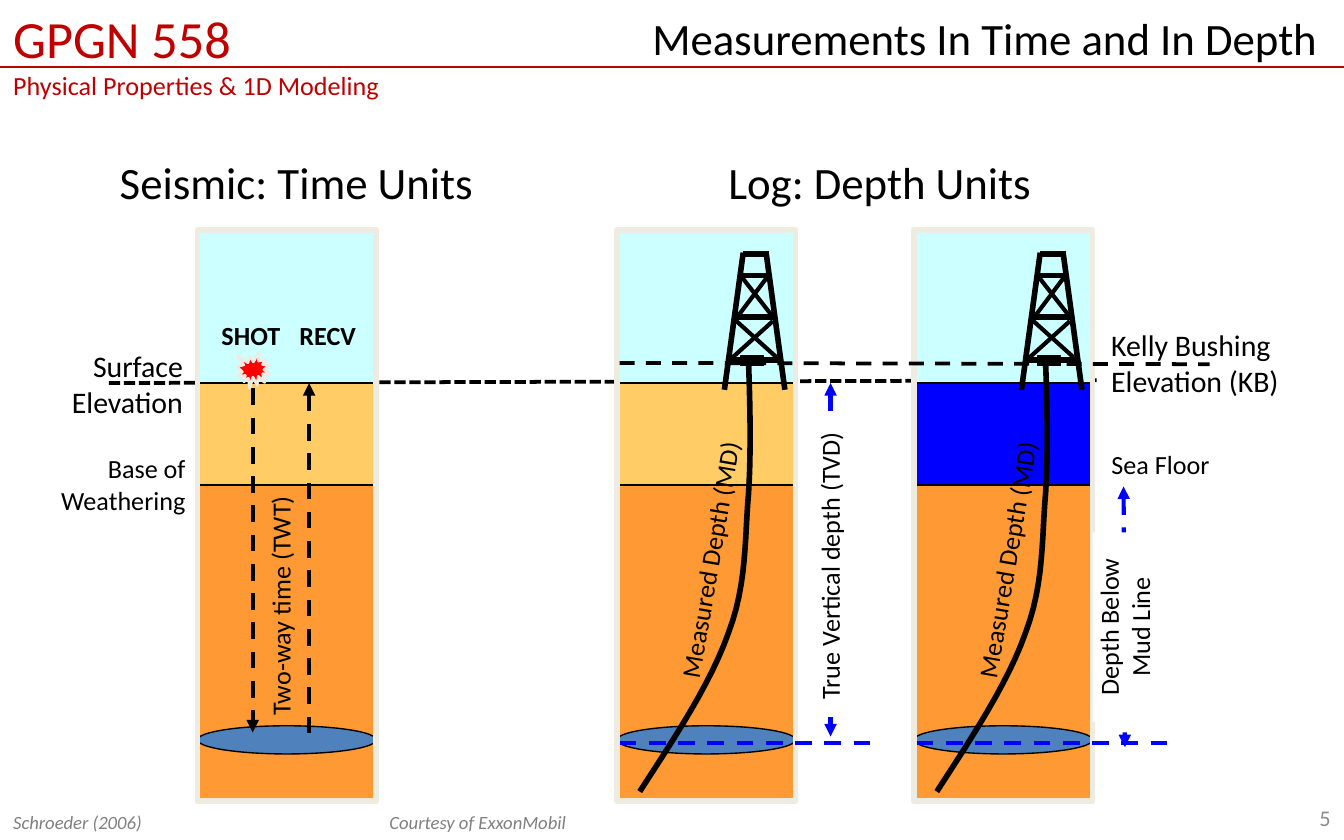
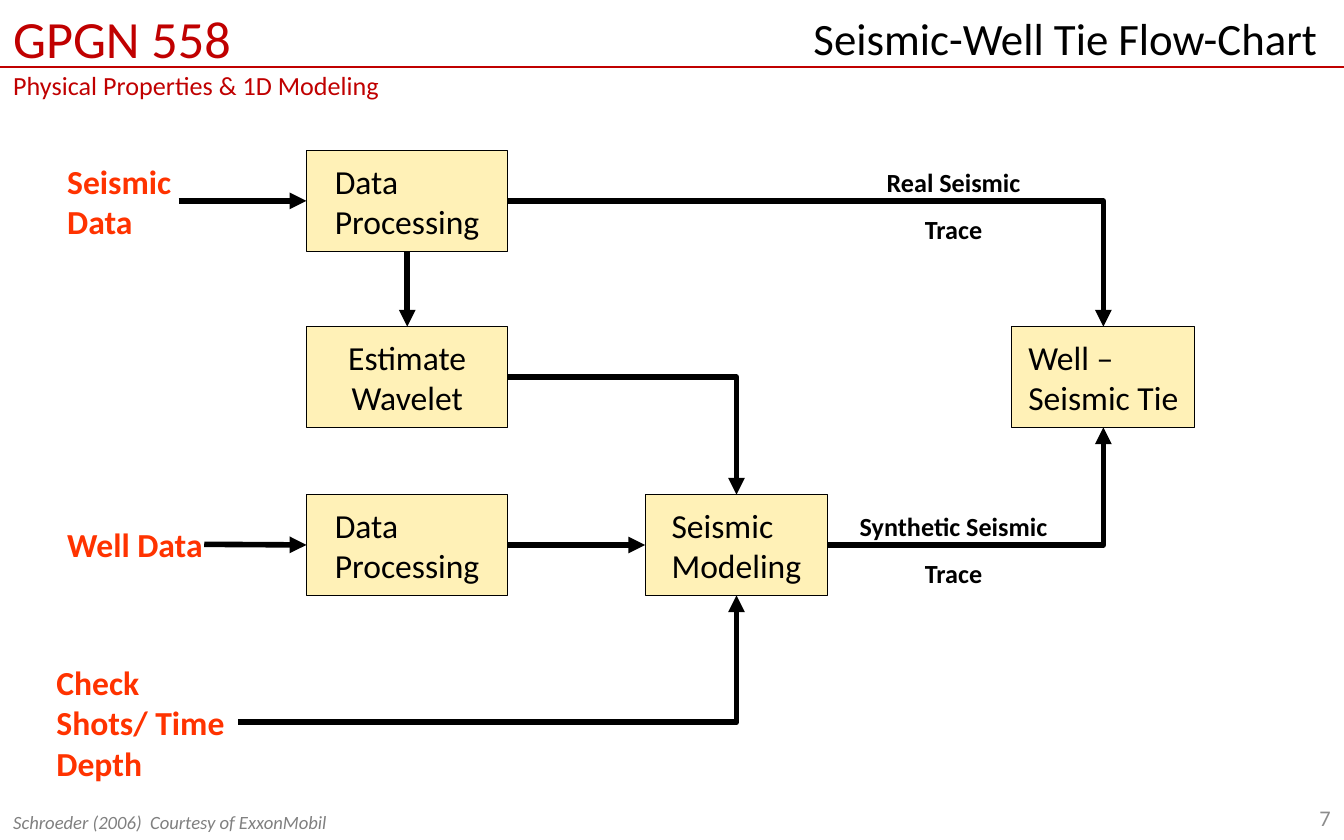
"""Build two slides on seismic time, log depth and the seismic-well tie."""
from dataclasses import dataclass
from typing import Any, Optional

from lxml import etree
from pptx import Presentation
from pptx.dml.color import RGBColor
from pptx.enum import dml, shapes, text
from pptx.oxml import ns
from pptx.util import Inches, Pt

FONT = "Calibri"
BLACK, WHITE, RED, BLUE = "000000", "FFFFFF", "C00000", "0000FF"
GREY, PAGE_GREY, ORANGE, CREAM = "808080", "8C8C8C", "FF3300", "FFF1B7"
AIR, SOIL, ROCK, POOL, FRAME = "CCFFFF", "FFCC66", "FF9933", "4F81BD", "EEECE1"
LEFT, CENTER, RIGHT = text.PP_ALIGN.LEFT, text.PP_ALIGN.CENTER, text.PP_ALIGN.RIGHT
TOP, MIDDLE = text.MSO_ANCHOR.TOP, text.MSO_ANCHOR.MIDDLE
DASH, SHORT_DASH = dml.MSO_LINE.DASH, dml.MSO_LINE.SQUARE_DOT
RECT, OVAL = shapes.MSO_SHAPE.RECTANGLE, shapes.MSO_SHAPE.OVAL
BURST = shapes.MSO_SHAPE.EXPLOSION1
PLAIN, NO_INSET, WIDE_RIGHT = (0.1, 0.05, 0.1, 0.05), (0, 0, 0, 0), (0.1, 0.05, 0.2, 0.05)
SITE_TOP, SITE_LEFT, SITE_BOTTOM, SITE_RIGHT = range(4)


@dataclass
class Label:
    """A piece of text and its place in inches."""
    words: str
    x: float
    y: float
    w: float
    h: float
    size: float = 14
    color: str = BLACK
    align: Any = LEFT
    anchor: Any = TOP
    inset: tuple = PLAIN
    bold: bool = False
    italic: bool = False
    wrap: bool = True
    turn: float = 0
    spacing: Optional[float] = None
    fill: Optional[str] = None


@dataclass
class Block:
    """A preset shape with optional fill and outline."""
    kind: Any
    x: float
    y: float
    w: float
    h: float
    fill: Optional[str] = None
    line: Optional[str] = BLACK
    width: float = 0.75


@dataclass
class Rule:
    """A straight line with optional dash and arrowheads."""
    x1: float
    y1: float
    x2: float
    y2: float
    color: str = BLACK
    width: float = 3
    dash: Any = None
    ends: tuple = ()


@dataclass
class Step:
    """A box of the flow chart."""
    words: str
    x: float
    y: float
    w: float
    align: Any = LEFT


@dataclass
class Flow:
    """An arrow between two named items and their connection sites."""
    source: str
    source_site: int
    target: str
    target_site: int
    corner: bool = False


def rgb(value: str) -> RGBColor:
    """Turn a hex string into a colour."""
    return RGBColor.from_string(value)


def paint(sp: Any, fill: Optional[str], line: Optional[str], width: float) -> None:
    """Set fill, outline and shadow of a shape."""
    sp.shadow.inherit = False
    if fill:
        sp.fill.solid()
        sp.fill.fore_color.rgb = rgb(fill)
    else:
        sp.fill.background()
    if line:
        sp.line.color.rgb = rgb(line)
        sp.line.width = Pt(width)
    else:
        sp.line.fill.background()


def write(sp: Any, label: Label) -> None:
    """Put the words of a label into a shape."""
    tf = sp.text_frame
    tf.text = label.words
    tf.word_wrap = label.wrap
    tf.vertical_anchor = label.anchor
    (tf.margin_left, tf.margin_top,
     tf.margin_right, tf.margin_bottom) = map(Inches, label.inset)
    for p in tf.paragraphs:
        p.alignment = label.align
        if label.spacing:
            p.line_spacing = label.spacing
        for r in p.runs:
            r.font.name, r.font.size = FONT, Pt(label.size)
            r.font.bold, r.font.italic = label.bold, label.italic
            r.font.color.rgb = rgb(label.color)


def add_label(tree: Any, label: Label) -> Any:
    """Draw a label as a text box."""
    sp = tree.add_textbox(*map(Inches, (label.x, label.y, label.w, label.h)))
    sp.rotation = label.turn
    if label.fill:
        sp.fill.solid()
        sp.fill.fore_color.rgb = rgb(label.fill)
    write(sp, label)
    return sp


def add_block(tree: Any, block: Block) -> Any:
    """Draw a preset shape."""
    sp = tree.add_shape(block.kind, *map(Inches, (block.x, block.y, block.w, block.h)))
    paint(sp, block.fill, block.line, block.width)
    return sp


def add_rule(tree: Any, rule: Rule) -> Any:
    """Draw a line; ends names the arrowed ends, head or tail."""
    s = tree.add_connector(shapes.MSO_CONNECTOR.STRAIGHT,
                           *map(Inches, (rule.x1, rule.y1, rule.x2, rule.y2)))
    s.line.color.rgb = rgb(rule.color)
    s.line.width = Pt(rule.width)
    if rule.dash:
        s.line.dash_style = rule.dash
    for end in rule.ends:
        etree.SubElement(s.line._get_or_add_ln(), ns.qn(f"a:{end}End")).set("type", "triangle")
    etree.SubElement(s._element.spPr, ns.qn("a:effectLst"))
    return s


def add_base(prs: Any, title: str, credit: str, page: int) -> Any:
    """Add a slide with course header, title, credit and page number."""
    s = prs.slides.add_slide(prs.slide_layouts[6])
    header = add_label(s.shapes, Label("GPGN 558\nPhysical Properties & 1D Modeling", 0, 0,
                                       3.17, 0.79, color=RED, inset=WIDE_RIGHT))
    header.text_frame.paragraphs[0].runs[0].font.size = Pt(28)
    add_rule(s.shapes, Rule(-0.02, 0.5, 10.01, 0.5, RED, 1.25))
    add_label(s.shapes, Label(title, 4.08, 0.03, 5.92, 0.5, 24, align=RIGHT, inset=WIDE_RIGHT))
    add_label(s.shapes, Label(str(page), 7.67, 5.92, 2.33, 0.33, 12, PAGE_GREY, RIGHT, MIDDLE))
    sp = add_label(s.shapes, Label(credit, 0, 5.98, 4.5, 0.27, 10, GREY,
                                   anchor=MIDDLE, italic=True))
    if "\t" in credit:
        p_pr = sp.text_frame.paragraphs[0]._p.get_or_add_pPr()
        tabs = etree.SubElement(p_pr, ns.qn("a:tabLst"))
        etree.SubElement(tabs, ns.qn("a:tab"), pos=str(Inches(2.8)), algn="l")
    return s


def add_column(s: Any, x: float, middle: str) -> Any:
    """Draw a grouped earth column and return its shapes."""
    tree = s.shapes.add_group_shape().shapes
    for block in (Block(RECT, x, 2.09, 1.33, 3.87, ROCK, None),
                  Block(RECT, x, 2.85, 1.33, 0.76, middle),
                  Block(RECT, x, 1.71, 1.33, 1.14, AIR),
                  Block(OVAL, x, 5.4, 1.33, 0.21, POOL),
                  Block(RECT, x, 1.71, 1.33, 4.25, None, FRAME, 3)):
        add_block(tree, block)
    return tree


def curve(start: tuple, pieces: tuple, steps: int = 12) -> list:
    """Sample joined cubic curves, leaving out the start point."""
    points = []
    for b, c, d in pieces:
        for t in (i / steps for i in range(1, steps + 1)):
            points.append(tuple((1 - t) ** 3 * p0 + 3 * t * (1 - t) ** 2 * p1
                                + 3 * t * t * (1 - t) * p2 + t ** 3 * p3
                                for p0, p1, p2, p3 in zip(start, b, c, d)))
        start = d
    return points


BORE_START = (0.98, 2.69)
BORE = (((0.99, 3.01), (1, 3.33), (0.98, 3.67)),
        ((0.95, 4), (0.97, 4.34), (0.83, 4.71)),
        ((0.7, 5.08), (0.43, 5.49), (0.17, 5.89)))
BEAMS = ((0.92, 2.05, 1.14, 2.05), (0.83, 2.68, 1.23, 2.68), (0.87, 2.36, 1.18, 2.36),
         (1.11, 1.88, 1.25, 2.9), (0.94, 1.88, 0.8, 2.9), (0.94, 1.89, 1.13, 1.89))
BRACES = ((0.92, 2.05, 1.17, 2.37), (0.89, 2.39, 1.19, 2.66),
          (1.12, 2.06, 0.88, 2.38), (1.16, 2.39, 0.86, 2.66))


def add_well(s: Any, x: float, middle: str) -> None:
    """Draw an earth column with a derrick and a deviated bore."""
    tree = add_column(s, x, middle)
    builder = tree.build_freeform(Inches(x + BORE_START[0]), Inches(BORE_START[1]))
    builder.add_line_segments([(Inches(x + px), Inches(py))
                               for px, py in curve(BORE_START, BORE)], close=False)
    paint(builder.convert_to_shape(), None, BLACK, 3)
    add_block(tree, Block(RECT, x + 0.92, 2.65, 0.17, 0.07, BLACK))
    for bars, width in ((BEAMS, 3), (BRACES, 2.25)):
        for x1, y1, x2, y2 in bars:
            add_rule(tree, Rule(x + x1, y1, x + x2, y2, width=width))
    add_label(tree, Label("Measured Depth (MD)", x - 0.35, 3.93, 2.11, 0.34, turn=279.7))
    add_rule(s.shapes, Rule(x + 0.02, 5.53, x + 1.93, 5.53, BLUE, 2.25, DASH))


def add_measurements(prs: Any) -> None:
    """Build the slide comparing time and depth measurements."""
    s = add_base(prs, "Measurements In Time and In Depth",
                 "Schroeder (2006)\tCourtesy of ExxonMobil", 5)
    both = ("head", "tail")
    add_rule(s.shapes, Rule(0.81, 2.85, 8.16, 2.83, width=2, dash=SHORT_DASH))
    add_rule(s.shapes, Rule(6.18, 2.85, 6.18, 5.48, BLUE, 2.25, DASH, both))
    for label in (
            Label("Surface Elevation", 0.13, 2.54, 1.33, 0.64, 16, align=RIGHT),
            Label("Base of Weathering", -0.02, 3.32, 1.5, 0.57, align=RIGHT),
            Label("Seismic: Time Units", 0.33, 1.1, 3.75, 0.5, 24, align=CENTER),
            Label("Log: Depth Units", 4.67, 1.1, 3.75, 0.5, 24, align=CENTER),
            Label("Kelly Bushing\nElevation (KB)", 8.17, 2.38, 1.8, 0.64, 16),
            Label("Sea Floor", 8.17, 3.29, 1.08, 0.34),
            Label("True Vertical depth (TVD)", 5.09, 4.09, 2.17, 0.24, align=CENTER,
                  inset=NO_INSET, turn=270, fill=WHITE)):
        add_label(s.shapes, label)
    add_well(s, 4.59, SOIL)
    tree = add_column(s, 1.47, SOIL)
    add_rule(tree, Rule(1.88, 2.89, 1.88, 5.45, width=2.25, dash=DASH, ends=("tail",)))
    add_rule(tree, Rule(2.3, 2.85, 2.3, 5.47, width=2.25, dash=DASH, ends=("head",)))
    add_label(tree, Label("Two-way time (TWT)", 0.92, 4.04, 2.28, 0.29, anchor=MIDDLE,
                          inset=(0, 0.05, 0, 0), turn=270))
    for words, x in (("SHOT", 1.55), ("RECV", 2.13)):
        add_label(tree, Label(words, x, 2.33, 0.64, 0.32, bold=True, wrap=False))
    add_block(tree, Block(BURST, 1.76, 2.62, 0.25, 0.27, "FF0000", FRAME, 1.5))
    add_well(s, 6.8, BLUE)
    add_rule(s.shapes, Rule(4.61, 2.7, 9, 2.71, width=2, dash=DASH))
    add_rule(s.shapes, Rule(8.36, 3.62, 8.37, 5.56, BLUE, 2.25, DASH, both))
    add_label(s.shapes, Label("Depth Below Mud Line", 7.66, 4.43, 1.41, 0.47, align=CENTER,
                              inset=NO_INSET, turn=270, fill=WHITE))


def add_flow_chart(prs: Any) -> None:
    """Build the flow chart slide."""
    s = add_base(prs, "Seismic-Well Tie Flow-Chart",
                 "Schroeder (2006)  Courtesy of ExxonMobil", 7)
    steps = {"seismic": Step("Data Processing", 2.28, 1.12, 1.5),
             "wavelet": Step("Estimate\nWavelet", 2.28, 2.43, 1.5, CENTER),
             "well": Step("Data Processing", 2.28, 3.68, 1.5),
             "model": Step("Seismic Modeling", 4.8, 3.68, 1.36),
             "tie": Step("Well – Seismic Tie", 7.53, 2.43, 1.36)}
    inputs = {"seismic data": ("Seismic Data", 0.5, 1.19, 0.83, 0.61),
              "well data": ("Well Data", 0.5, 3.9, 1.02, 0.3),
              "check shots": ("Check Shots/ Time Depth", 0.42, 4.92, 1.35, 0.91)}
    items = {}
    for key, step in steps.items():
        sp = items[key] = add_block(s.shapes, Block(RECT, step.x, step.y, step.w, 0.75,
                                                    CREAM, width=0.5))
        write(sp, Label(step.words, step.x, step.y, step.w, 0.75, 18,
                        align=step.align, anchor=MIDDLE))
        sp.text_frame._txBody.bodyPr.set("anchorCtr", "1")
    for key, place in inputs.items():
        items[key] = add_label(s.shapes, Label(*place, 18, ORANGE, anchor=MIDDLE, inset=NO_INSET,
                                               bold=True, wrap=key != "well data"))
    for words, x, y, w in (("Synthetic Seismic Trace", 6.34, 3.68, 1.51),
                           ("Real Seismic Trace", 6.54, 1.12, 1.11)):
        add_label(s.shapes, Label(words, x, y, w, 0.67, align=CENTER, inset=NO_INSET,
                                  bold=True, spacing=1.5))
    for flow in (Flow("seismic", SITE_RIGHT, "tie", SITE_TOP, True),
                 Flow("seismic data", SITE_RIGHT, "seismic", SITE_LEFT),
                 Flow("well data", SITE_RIGHT, "well", SITE_LEFT),
                 Flow("check shots", SITE_RIGHT, "model", SITE_BOTTOM, True),
                 Flow("wavelet", SITE_RIGHT, "model", SITE_TOP, True),
                 Flow("model", SITE_RIGHT, "tie", SITE_BOTTOM, True),
                 Flow("seismic", SITE_BOTTOM, "wavelet", SITE_TOP),
                 Flow("well", SITE_RIGHT, "model", SITE_LEFT)):
        arrow = add_rule(s.shapes, Rule(0, 0, 1, 1, ends=("tail",)))
        arrow.begin_connect(items[flow.source], flow.source_site)
        arrow.end_connect(items[flow.target], flow.target_site)
        if flow.corner:
            arrow._element.spPr.find(ns.qn("a:prstGeom")).set("prst", "bentConnector2")


def main() -> None:
    """Create and save the presentation."""
    prs = Presentation()
    prs.slide_width, prs.slide_height = Inches(10), Inches(6.25)
    add_measurements(prs)
    add_flow_chart(prs)
    prs.save("out.pptx")


if __name__ == "__main__":
    main()
